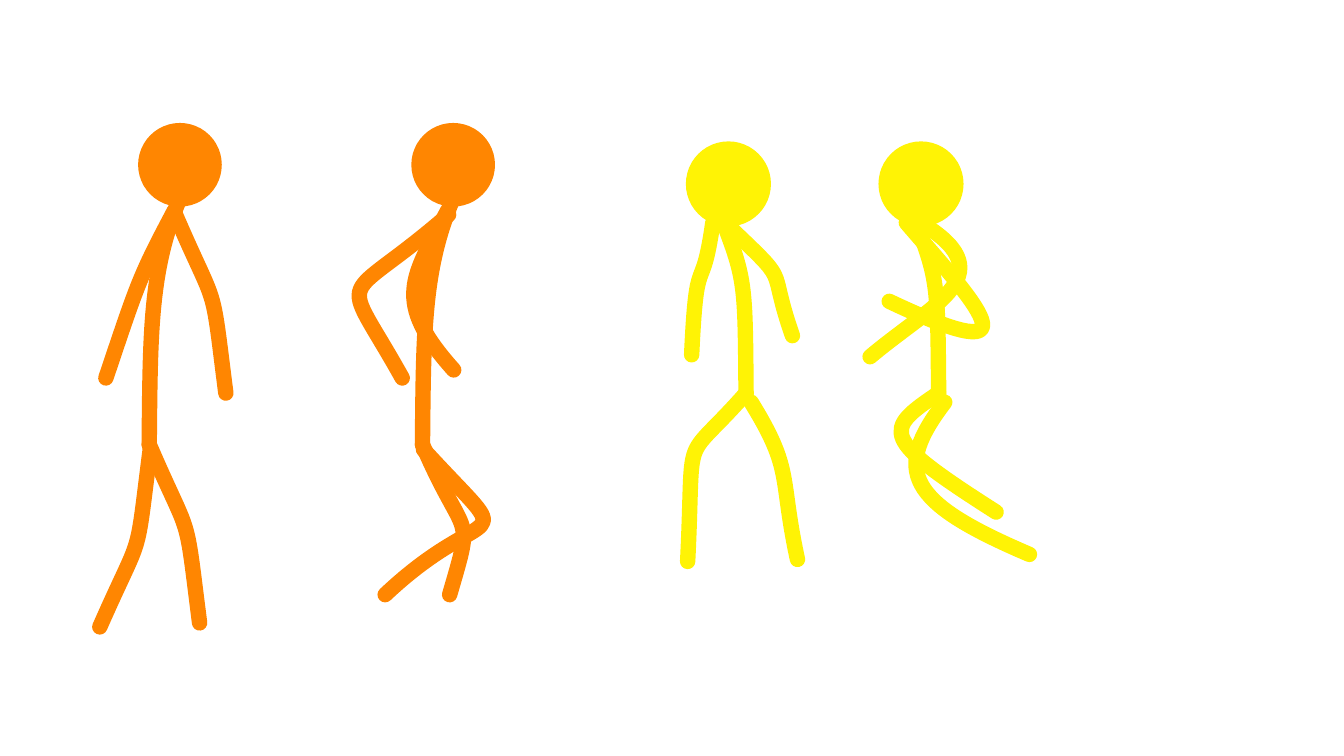
from lxml import etree
from pptx import Presentation
from pptx.dml.color import RGBColor
from pptx.enum.shapes import MSO_SHAPE
from pptx.oxml.ns import qn
from pptx.util import Inches, Pt

COLOURS = {"orange": "FF8601", "yellow": "FFF305"}
HEAD_SIZE = 0.83
LIMB_WIDTH = 11

# Spine curves, measured from the top left corner of the head
SPINES = {
    "orange": [(0.40, 0.78), (0.12, 1.47), (0.12, 2.06), (0.11, 3.19)],
    "yellow": [(0.32, 0.68), (0.59, 1.37), (0.58, 1.37), (0.59, 2.50)],
}
HEAD_OUTLINE = {"orange": 0, "yellow": 1}

# Each figure: colour, head corner, then two arms and two legs
# as start, two control points and end
FIGURES = [
    ("orange", (1.37, 1.22), [
        [(1.74, 2.13), (2.17, 3.13), (2.09, 2.72), (2.24, 3.90)],
        [(1.73, 2.09), (1.38, 2.75), (1.37, 2.80), (1.05, 3.75)],
        [(1.48, 4.41), (1.91, 5.41), (1.83, 5.00), (1.98, 6.18)],
        [(0.99, 6.22), (1.43, 5.22), (1.34, 5.63), (1.49, 4.46)],
    ]),
    ("orange", (4.08, 1.22), [
        [(4.45, 2.13), (3.36, 3.08), (3.36, 2.62), (3.99, 3.75)],
        [(4.44, 2.09), (4.09, 2.75), (3.88, 2.98), (4.50, 3.67)],
        [(4.19, 4.41), (4.62, 5.41), (4.71, 5.04), (4.46, 5.90)],
        [(3.82, 5.90), (4.87, 4.91), (5.18, 5.53), (4.20, 4.46)],
    ]),
    ("yellow", (6.81, 1.41), [
        [(7.07, 2.21), (6.96, 2.99), (6.91, 2.43), (6.86, 3.52)],
        [(7.16, 2.18), (7.89, 2.88), (7.59, 2.56), (7.86, 3.33)],
        [(7.45, 3.99), (7.87, 4.67), (7.73, 4.72), (7.91, 5.55)],
        [(6.82, 5.57), (6.89, 4.18), (6.74, 4.65), (7.40, 3.90)],
    ]),
    ("yellow", (8.72, 1.41), [
        [(8.99, 2.21), (9.66, 2.99), (10.36, 3.72), (8.82, 2.99)],
        [(9.08, 2.18), (10.01, 2.71), (9.27, 3.00), (8.63, 3.54)],
        [(9.37, 3.99), (8.85, 4.67), (8.99, 4.98), (10.21, 5.50)],
        [(9.88, 5.08), (8.72, 4.34), (8.76, 4.27), (9.31, 3.90)],
    ]),
]


def bezier(points, t):
    """Point on a cubic curve at t between 0 and 1."""
    weights = ((1 - t) ** 3, 3 * t * (1 - t) ** 2, 3 * t * t * (1 - t), t ** 3)
    return tuple(round(sum(w * p[axis] for w, p in zip(weights, points)))
                 for axis in (0, 1))


def add_limb(shapes, points, colour):
    """Draw one cubic curve as a thick, round-ended stroke."""
    points = [(Inches(x), Inches(y)) for x, y in points]
    # Points along the curve give the shape its true bounds
    builder = shapes.build_freeform(*points[0])
    builder.add_line_segments([bezier(points, i / 40) for i in range(1, 41)],
                              close=False)
    limb = builder.convert_to_shape()
    limb.shadow.inherit = False
    limb.fill.background()
    limb.line.color.rgb = colour
    limb.line.width = Pt(LIMB_WIDTH)
    line = limb.line._get_or_add_ln()
    line.set("cap", "rnd")
    etree.SubElement(line, qn("a:round"))
    # One true curve takes the place of the straight segments
    path = limb._element.spPr.find(".//" + qn("a:path"))
    for segment in path.findall(qn("a:lnTo")):
        path.remove(segment)
    curve = etree.SubElement(path, qn("a:cubicBezTo"))
    for x, y in points[1:]:
        etree.SubElement(curve, qn("a:pt"),
                         x=str(x - limb.left), y=str(y - limb.top))


prs = Presentation()
prs.slide_width, prs.slide_height = Inches(13.33), Inches(7.5)
slide = prs.slides.add_slide(prs.slide_layouts[6])

for name, (left, top), limbs in FIGURES:
    colour = RGBColor.from_string(COLOURS[name])
    figure = slide.shapes.add_group_shape().shapes

    # Head
    head = figure.add_shape(MSO_SHAPE.OVAL, Inches(left), Inches(top),
                            Inches(HEAD_SIZE), Inches(HEAD_SIZE))
    head.shadow.inherit = False
    head.fill.solid()
    head.fill.fore_color.rgb = colour
    if HEAD_OUTLINE[name]:
        head.line.color.rgb = colour
        head.line.width = Pt(HEAD_OUTLINE[name])
    else:
        head.line.fill.background()

    # Spine, arms and legs
    spine = [(left + x, top + y) for x, y in SPINES[name]]
    for points in [spine] + limbs:
        add_limb(figure, points, colour)

prs.save("out.pptx")
